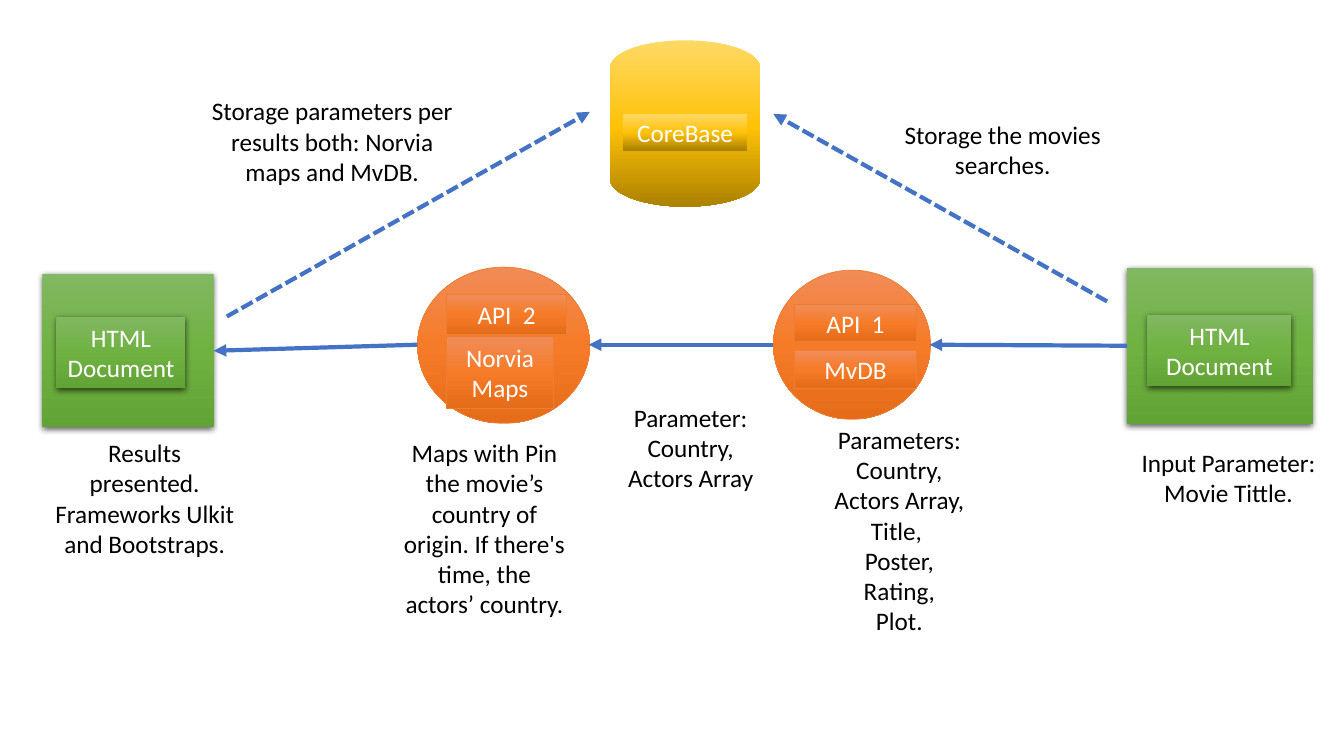
from lxml import etree
from pptx import Presentation
from pptx.dml.color import RGBColor
from pptx.enum.dml import MSO_LINE
from pptx.enum.shapes import MSO_CONNECTOR, MSO_SHAPE
from pptx.enum.text import MSO_ANCHOR, PP_ALIGN
from pptx.oxml.ns import qn
from pptx.util import Inches, Pt

RECT = MSO_SHAPE.RECTANGLE
OVAL = MSO_SHAPE.OVAL
DISK = MSO_SHAPE.FLOWCHART_MAGNETIC_DISK
LINE = MSO_CONNECTOR.STRAIGHT
DASH = MSO_LINE.SQUARE_DOT
MIDDLE, TOP = MSO_ANCHOR.MIDDLE, MSO_ANCHOR.TOP
CENTER = PP_ALIGN.CENTER

CELL = Inches(0.1)
BLUE, WHITE, BLACK = "4472C4", "FFFFFF", "000000"
GREEN = {"stops": [(0, "81B861"), (50, "6FB242"), (100, "62A336")],
         "edge": None, "shade": True}
GOLD = {"stops": [(0, "FFD966"), (52, "FFC208"), (100, "AB8100")],
        "edge": None, "shade": False}
ORANGE = {"stops": [(0, "F18C57"), (50, "F67B28"), (100, "E56C19")],
          "edge": "ED7D31", "shade": False}

NODES = [
    (RECT, GREEN, (4.2, 27.2, 17, 15.2),
     [("HTML Document", (5.6, 31.4, 12.8, 7.1))]),
    (RECT, GREEN, (111.8, 26.6, 18.4, 15.5),
     [("HTML Document", (113.8, 31.2, 14.3, 7.1))]),
    (DISK, GOLD, (60.5, 4, 14.9, 16.5),
     [("CoreBase", (61.8, 11.3, 12.3, 3.6))]),
    (OVAL, ORANGE, (76.7, 26.8, 15.6, 14.8),
     [("API  1", (78.8, 30.2, 12.1, 3.7)), ("MvDB", (78.8, 34.8, 12.1, 3.7))]),
    (OVAL, ORANGE, (41.4, 26.5, 17.1, 15.5),
     [("API  2", (44.3, 29.2, 11.9, 4)), ("Norvia Maps", (44.3, 33.4, 10.6, 7.1))]),
]
NOTES = [
    ((111.7, 43.9, 20.3, 7.1), ["Input Parameter: Movie Tittle."]),
    ((60.9, 39.4, 15.2, 10.1), ["Parameter: Country,", "Actors Array"]),
    ((85.9, 11.3, 27.1, 7.1), ["Storage the movies searches."]),
    ((39, 42.9, 18.1, 19.2),
     ["Maps with Pin the movie’s country of origin. "
      "If there's time, the actors’ country."]),
    ((78.6, 41.6, 21.2, 22.2),
     ["Parameters: Country,", "Actors Array,", "Title, ", "Poster,", "Rating,", "Plot."]),
    ((19.4, 9, 27.1, 10.1),
     ["Storage parameters per results both: Norvia maps and MvDB."]),
    ((4.2, 42.9, 20.3, 13.1),
     ["Results presented.", "Frameworks Ulkit and Bootstraps."]),
]
ARROWS = [
    ((109.8, 29.9, 76.7, 11.3), DASH),
    ((22.5, 31.4, 58.5, 11.1), DASH),
    ((111.8, 34.3, 92.2, 34.2), None),
    ((76.7, 34.2, 58.4, 34.2), None),
    ((41.4, 34.2, 21.2, 34.8), None),
]


def grid(box):
    return [round(n * CELL) for n in box]


def color(text):
    return RGBColor.from_string(text)


def style(item, values):
    for name, value in values.items():
        setattr(item, name, value)


def write(shape, lines, tint, anchor):
    frame = shape.text_frame
    style(frame, {"word_wrap": True, "vertical_anchor": anchor})
    frame.text = "\n".join(lines)
    for para in frame.paragraphs:
        para.alignment = CENTER
        style(para.runs[0].font, {"name": "Calibri", "size": Pt(18)})
        para.runs[0].font.color.rgb = color(tint)


def blend(shape, stops):
    shape.fill.gradient()
    shape.fill.gradient_angle = 270
    ramp = shape._element.spPr.find(".//" + qn("a:gsLst"))
    for old in list(ramp):
        ramp.remove(old)
    for place, tint in stops:
        stop = etree.SubElement(ramp, qn("a:gs"), pos=str(place * 1000))
        etree.SubElement(stop, qn("a:srgbClr"), val=tint)


def shade(shape):
    effect = shape._element.spPr.find(qn("a:effectLst"))
    glow = etree.SubElement(effect, qn("a:outerShdw"), blurRad=str(Pt(4.5)),
                            dist=str(Pt(1.5)), dir="5400000", rotWithShape="0")
    tint = etree.SubElement(glow, qn("a:srgbClr"), val=BLACK)
    etree.SubElement(tint, qn("a:alpha"), val="63000")


def block(group, kind, look, box):
    shape = group.shapes.add_shape(kind, *grid(box))
    blend(shape, look["stops"])
    if look["edge"]:
        shape.line.color.rgb = color(look["edge"])
        shape.line.width = Pt(0.5)
    else:
        shape.line.fill.background()
    shape.shadow.inherit = False
    if look["shade"]:
        shade(shape)
    return shape


def node(slide, kind, look, box, labels):
    group = slide.shapes.add_group_shape()
    block(group, kind, look, box)
    for text, place in labels:
        write(block(group, RECT, look, place), [text], WHITE, MIDDLE)


def note(slide, box, lines):
    write(slide.shapes.add_textbox(*grid(box)), lines, BLACK, TOP)


def arrow(slide, ends, dash):
    link = slide.shapes.add_connector(LINE, *grid(ends))
    link.line.color.rgb = color(BLUE)
    style(link.line, {"width": Pt(3), "dash_style": dash})
    etree.SubElement(link.line._get_or_add_ln(), qn("a:tailEnd"), type="triangle")
    etree.SubElement(link._element.spPr, qn("a:effectLst"))


def main():
    deck = Presentation()
    style(deck, {"slide_width": Inches(13.33), "slide_height": Inches(7.5)})
    slide = deck.slides.add_slide(deck.slide_layouts[6])
    for item in NODES:
        node(slide, *item)
    for item in NOTES:
        note(slide, *item)
    for item in ARROWS:
        arrow(slide, *item)
    deck.save("out.pptx")


main()
